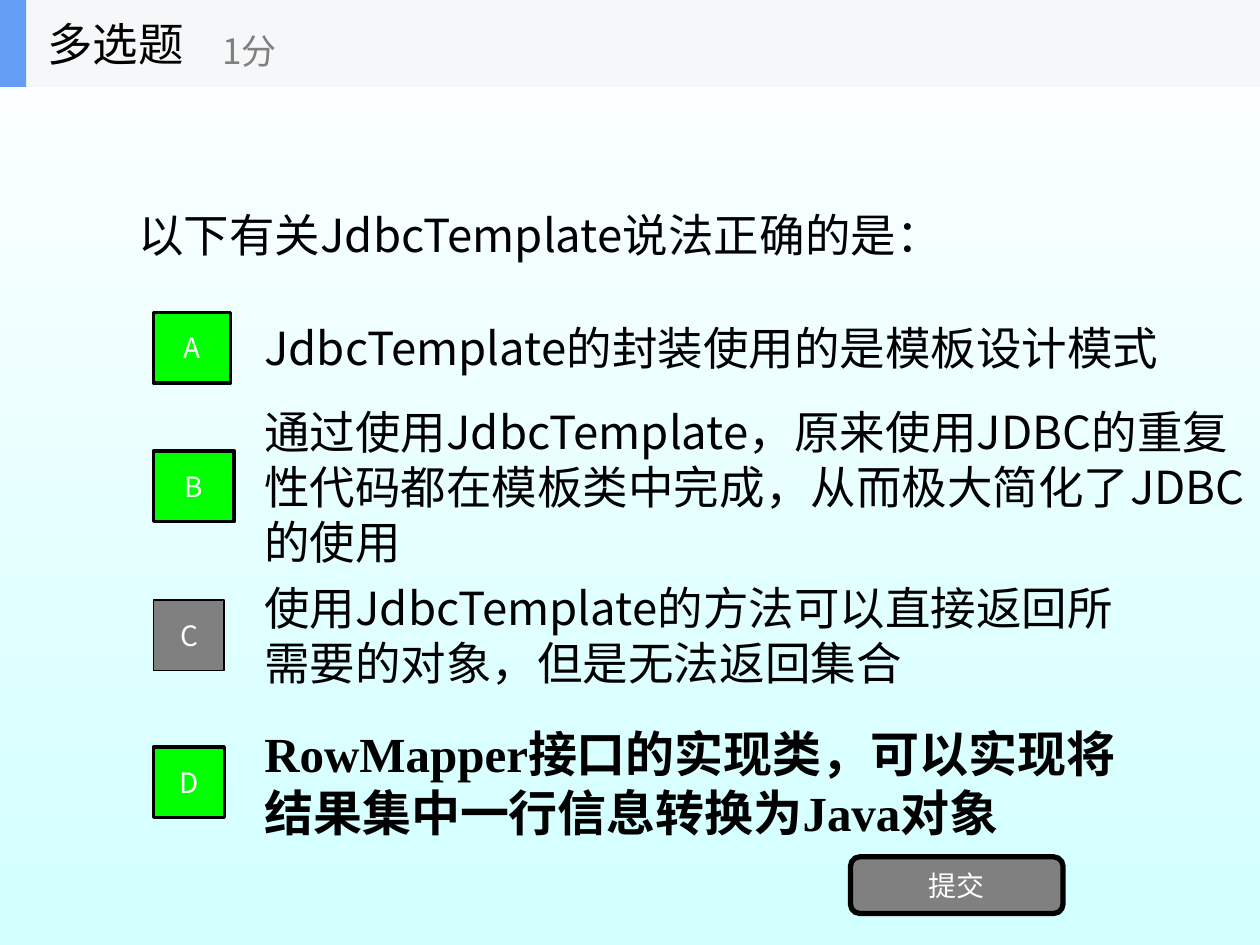
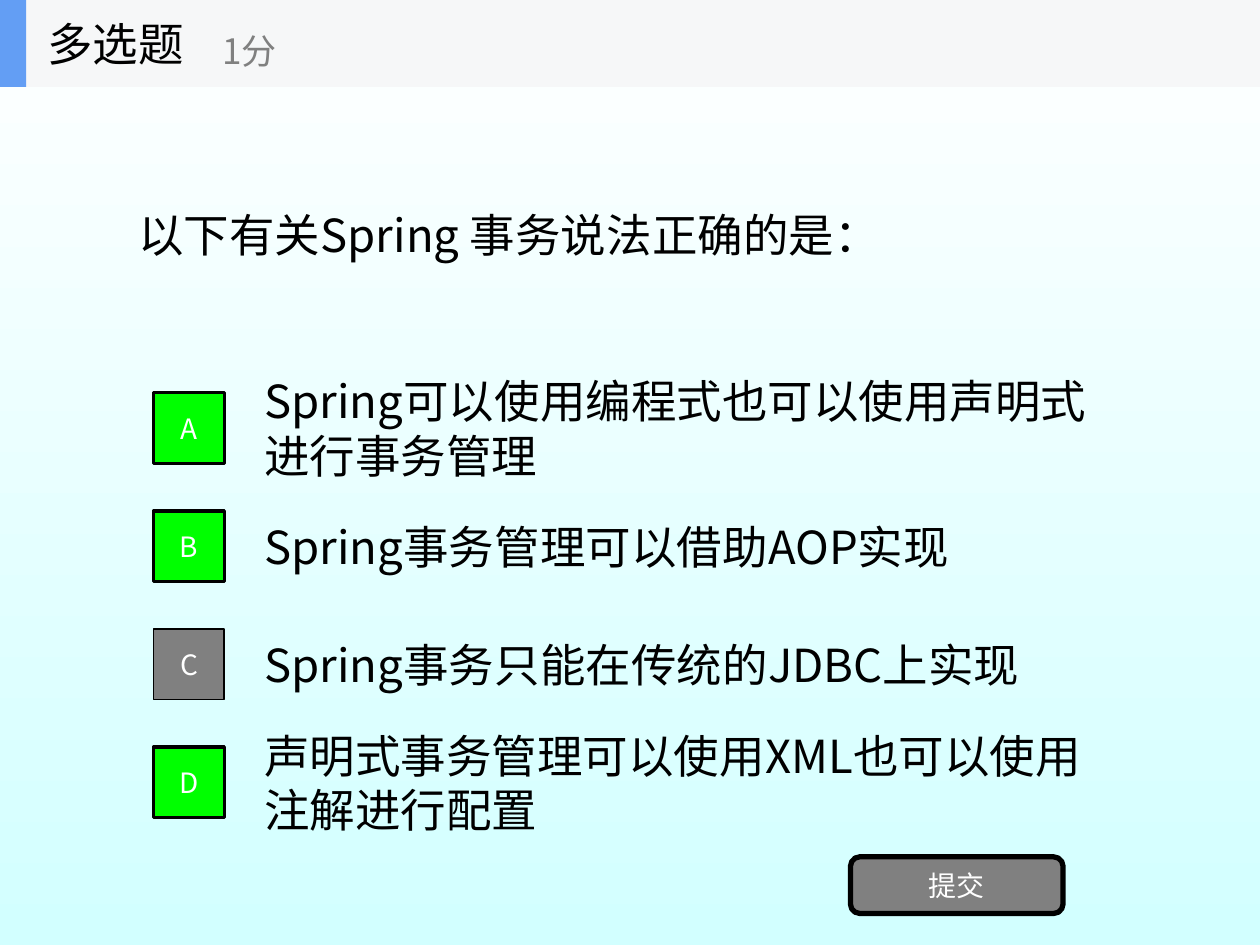
from dataclasses import dataclass

from lxml import etree
from pptx import Presentation
from pptx import util as u
from pptx.dml.color import RGBColor
from pptx.enum import shapes, text
from pptx.oxml.ns import qn


@dataclass(frozen=True)
class Theme:
    sans: str = "Noto Sans CJK SC"
    serif: str = "Times New Roman"
    black: str = "000000"
    white: str = "FFFFFF"
    gray: str = "808080"
    correct: str = "00FF00"
    band: str = "F6F7F8"
    accent: str = "639EF4"
    background_end: str = "D2FFFF"
    body_size: int = 26
    serif_size: int = 28
    points_size: int = 20
    label_size: int = 16


THEME = Theme()
SLIDE_WIDTH, SLIDE_HEIGHT = 720, 540
HEADER_HEIGHT = 49.7
OPTION_LEFT, OPTION_HEIGHT = 144, 50.4
BADGE_LEFT, BADGE_SIZE = 87.8, 40.4


def add_text(shape, content, size, color, font=THEME.sans, centered=False, wrap=True):
    """Write one vertically centred run; the serif font is set in bold."""
    frame = shape.text_frame
    frame.word_wrap = wrap
    frame.vertical_anchor = text.MSO_ANCHOR.MIDDLE
    paragraph = frame.paragraphs[0]
    paragraph.alignment = text.PP_ALIGN.CENTER if centered else text.PP_ALIGN.LEFT
    run = paragraph.add_run()
    run.text = content
    run.font.name = font
    run.font.size = u.Pt(size)
    run.font.bold = font == THEME.serif
    run.font.color.rgb = RGBColor.from_string(color)
    etree.SubElement(run.font._element, qn("a:ea"), typeface=THEME.sans)


def add_box(parent, kind, box, fill, line_width=0):
    shape = parent.add_shape(kind, *map(u.Pt, box))
    shape.shadow.inherit = False
    shape.fill.solid()
    shape.fill.fore_color.rgb = RGBColor.from_string(fill)
    if line_width:
        shape.line.width = u.Pt(line_width)
        shape.line.color.rgb = RGBColor.from_string(THEME.black)
    else:
        shape.line.fill.background()
    return shape


# Each option: text, is correct, top, text width, badge width, font
questions = [
    ("以下有关JdbcTemplate说法正确的是：", [
        ("JdbcTemplate的封装使用的是模板设计模式",
         True, 173.5, 550.8, 43.9, THEME.sans),
        ("通过使用JdbcTemplate，原来使用JDBC的重复性代码都在模板类中完成，从而极大简化了JDBC的使用",
         True, 252.7, 576, 46.1, THEME.sans),
        ("使用JdbcTemplate的方法可以直接返回所需要的对象，但是无法返回集合",
         False, 337.7, 504, BADGE_SIZE, THEME.sans),
        ("RowMapper接口的实现类，可以实现将结果集中一行信息转换为Java对象",
         True, 421.9, 504, BADGE_SIZE, THEME.serif),
    ]),
    ("以下有关Spring 事务说法正确的是：", [
        (content, correct, 219.4 + 67.5 * row, 504, BADGE_SIZE, THEME.sans)
        for row, (content, correct) in enumerate([
            ("Spring可以使用编程式也可以使用声明式进行事务管理", True),
            ("Spring事务管理可以借助AOP实现", True),
            ("Spring事务只能在传统的JDBC上实现", False),
            ("声明式事务管理可以使用XML也可以使用注解进行配置", True),
        ])
    ]),
]

presentation = Presentation()
presentation.slide_width = u.Pt(SLIDE_WIDTH)
presentation.slide_height = u.Pt(SLIDE_HEIGHT)
rectangle = shapes.MSO_SHAPE.RECTANGLE

for question, options in questions:
    slide = presentation.slides.add_slide(presentation.slide_layouts[6])
    background = slide.background.fill
    background.gradient()
    background.gradient_angle = 270
    for stop, color in zip(background.gradient_stops, (THEME.white, THEME.background_end)):
        stop.color.rgb = RGBColor.from_string(color)

    question_box = slide.shapes.add_textbox(*map(u.Pt, (72, HEADER_HEIGHT, 576, 168.5)))
    add_text(question_box, question, THEME.body_size, THEME.black)

    for content, correct, top, width, badge_width, font in options:
        option = slide.shapes.add_textbox(
            *map(u.Pt, (OPTION_LEFT, top, width, OPTION_HEIGHT)))
        size = THEME.serif_size if font == THEME.serif else THEME.body_size
        add_text(option, content, size, THEME.black, font)

    for letter, (content, correct, top, width, badge_width, font) in zip("ABCD", options):
        badge_top = top + (OPTION_HEIGHT - BADGE_SIZE) / 2
        badge = add_box(slide.shapes, rectangle,
                        (BADGE_LEFT, badge_top, badge_width, BADGE_SIZE),
                        THEME.correct if correct else THEME.gray, 2 if correct else 1)
        add_text(badge, letter, THEME.label_size, THEME.white, centered=True)

    submit = add_box(slide.shapes, shapes.MSO_SHAPE.ROUNDED_RECTANGLE,
                     (486, 489.6, 121.5, 32.4), THEME.gray, 3)
    add_text(submit, "提交", THEME.label_size, THEME.white, centered=True)

    header = slide.shapes.add_group_shape().shapes
    add_box(header, rectangle, (0, 0, SLIDE_WIDTH, HEADER_HEIGHT), THEME.band)
    add_box(header, rectangle, (0, 0, 15, HEADER_HEIGHT), THEME.accent)
    for content, box, size, color in (
        ("多选题", (20, 0, 150, HEADER_HEIGHT), THEME.body_size, THEME.black),
        ("1分", (120, 8.6, 180, 40.3), THEME.points_size, THEME.gray),
    ):
        label = header.add_textbox(*map(u.Pt, box))
        add_text(label, content, size, color, wrap=False)

presentation.save("out.pptx")
